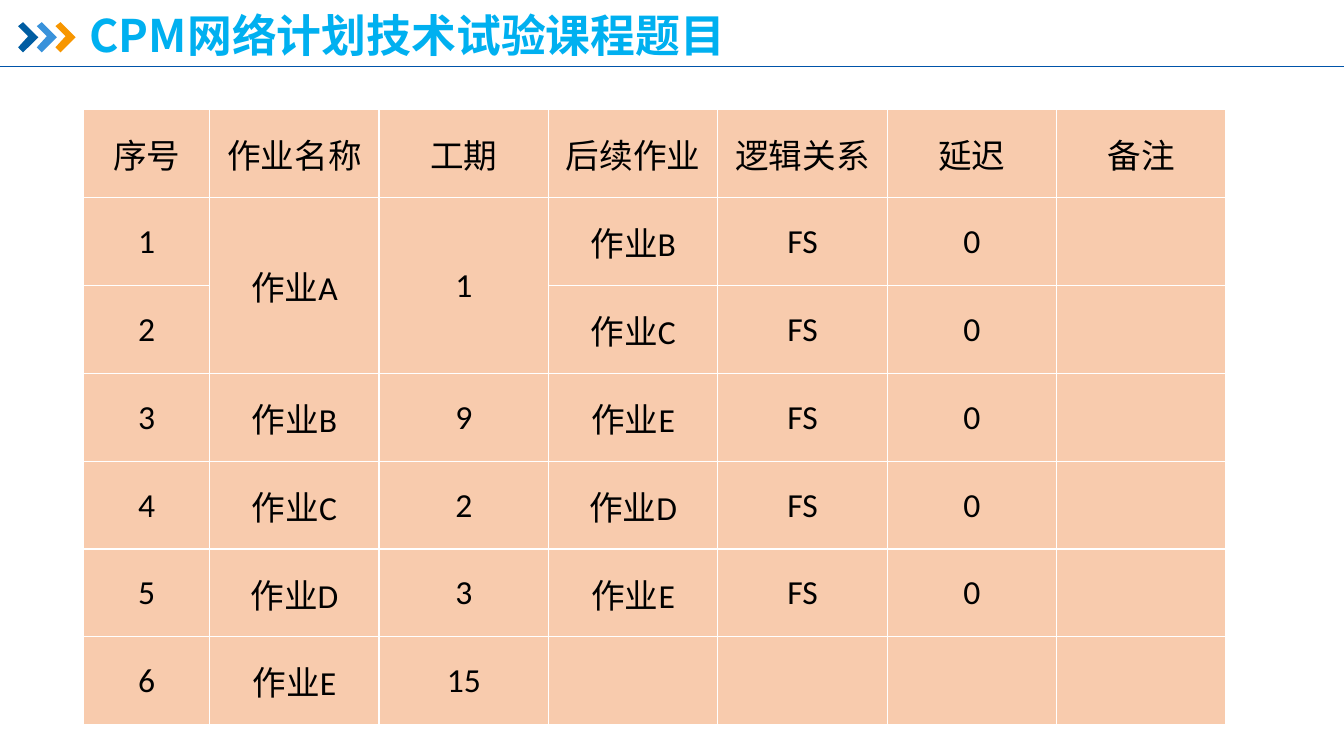
from lxml.etree import SubElement
from pptx import Presentation
from pptx.dml.color import RGBColor
from pptx.enum.shapes import MSO_CONNECTOR
from pptx.enum.text import MSO_ANCHOR, PP_ALIGN
from pptx.oxml.ns import qn
from pptx.util import Inches, Pt

NAVY = RGBColor(0x00, 0x5D, 0xA2)
BLUE = RGBColor(0x39, 0x92, 0xDB)
ORANGE = RGBColor(0xF7, 0x96, 0x00)
RULE_BLUE = RGBColor(0x00, 0x54, 0xA9)
TITLE_BLUE = RGBColor(0x00, 0xB0, 0xF0)
PEACH = RGBColor(0xF8, 0xCB, 0xAD)
BLACK = RGBColor(0x00, 0x00, 0x00)
CJK_FONT = "Noto Sans CJK SC"


def write_text(frame, text, size, color, font=CJK_FONT, bold=False,
               align=PP_ALIGN.LEFT, line_spacing=1.0):
    paragraph = frame.paragraphs[0]
    paragraph.alignment = align
    paragraph.line_spacing = line_spacing
    run = paragraph.add_run()
    run.text = text
    run.font.size = Pt(size)
    run.font.bold = bold
    run.font.color.rgb = color
    run.font.name = font
    SubElement(run.font._element, qn("a:ea"), typeface=CJK_FONT)


def add_white_borders(cell):
    properties = cell._tc.get_or_add_tcPr()
    for side in ("a:lnL", "a:lnR", "a:lnT", "a:lnB"):
        border = SubElement(properties, qn(side), w=str(Pt(1)))
        fill = SubElement(border, qn("a:solidFill"))
        SubElement(fill, qn("a:srgbClr"), val="FFFFFF")


presentation = Presentation()
presentation.slide_width = Inches(13.33)
presentation.slide_height = Inches(7.5)
slide = presentation.slides.add_slide(presentation.slide_layouts[6])

# Header: three chevrons, rule and title
CHEVRON = [(0, 0.04), (0.05, 0), (0.2, 0.15), (0.05, 0.3), (0, 0.25), (0.1, 0.14)]
for index, color in enumerate((NAVY, BLUE, ORANGE)):
    left = 0.18 + index * 0.185
    points = [(Inches(left + x), Inches(0.22 + y)) for x, y in CHEVRON]
    builder = slide.shapes.build_freeform(*points[0])
    builder.add_line_segments(points[1:], close=True)
    chevron = builder.convert_to_shape()
    chevron.shadow.inherit = False
    chevron.fill.solid()
    chevron.fill.fore_color.rgb = color
    chevron.line.fill.background()

header_rule = slide.shapes.add_connector(
    MSO_CONNECTOR.STRAIGHT, 0, Inches(0.66), Inches(13.33), Inches(0.66))
header_rule.line.color.rgb = RULE_BLUE
header_rule.line.width = Pt(0.5)
SubElement(header_rule._element.spPr, qn("a:effectLst"))

title = slide.shapes.add_textbox(Inches(0.79), Inches(0.08), Inches(10.78), Inches(0.59))
title.text_frame.word_wrap = True
title.text_frame.vertical_anchor = MSO_ANCHOR.MIDDLE
write_text(title.text_frame, "CPM网络计划技术试验课程题目", 32, TITLE_BLUE,
           bold=True, line_spacing=0.9)

# Activity table
ACTIVITIES = [
    ("序号", "作业名称", "工期", "后续作业", "逻辑关系", "延迟", "备注"),
    ("1", "作业A", "1", "作业B", "FS", "0", ""),
    ("2", "", "", "作业C", "FS", "0", ""),
    ("3", "作业B", "9", "作业E", "FS", "0", ""),
    ("4", "作业C", "2", "作业D", "FS", "0", ""),
    ("5", "作业D", "3", "作业E", "FS", "0", ""),
    ("6", "作业E", "15", "", "", "", ""),
]
activity_table = slide.shapes.add_table(
    len(ACTIVITIES), len(ACTIVITIES[0]),
    Inches(0.83), Inches(1.09), Inches(11.34), Inches(6.1)).table
for index, column in enumerate(activity_table.columns):
    column.width = Inches(1.68 if index else 1.25)

for row_index, values in enumerate(ACTIVITIES):
    activity_table.rows[row_index].height = Inches(6.1 / len(ACTIVITIES))
    for column_index, value in enumerate(values):
        cell = activity_table.cell(row_index, column_index)
        add_white_borders(cell)
        cell.fill.solid()
        cell.fill.fore_color.rgb = PEACH
        cell.vertical_anchor = MSO_ANCHOR.MIDDLE
        cell.margin_left = cell.margin_right = cell.margin_top = Inches(0.01)
        cell.margin_bottom = 0
        if value:
            write_text(cell.text_frame, value, 24, BLACK, font="Calibri",
                       align=PP_ALIGN.CENTER)

# Activity A has two successors, so its name and duration span two rows
for column_index in (1, 2):
    activity_table.cell(1, column_index).merge(activity_table.cell(2, column_index))

presentation.save("out.pptx")
